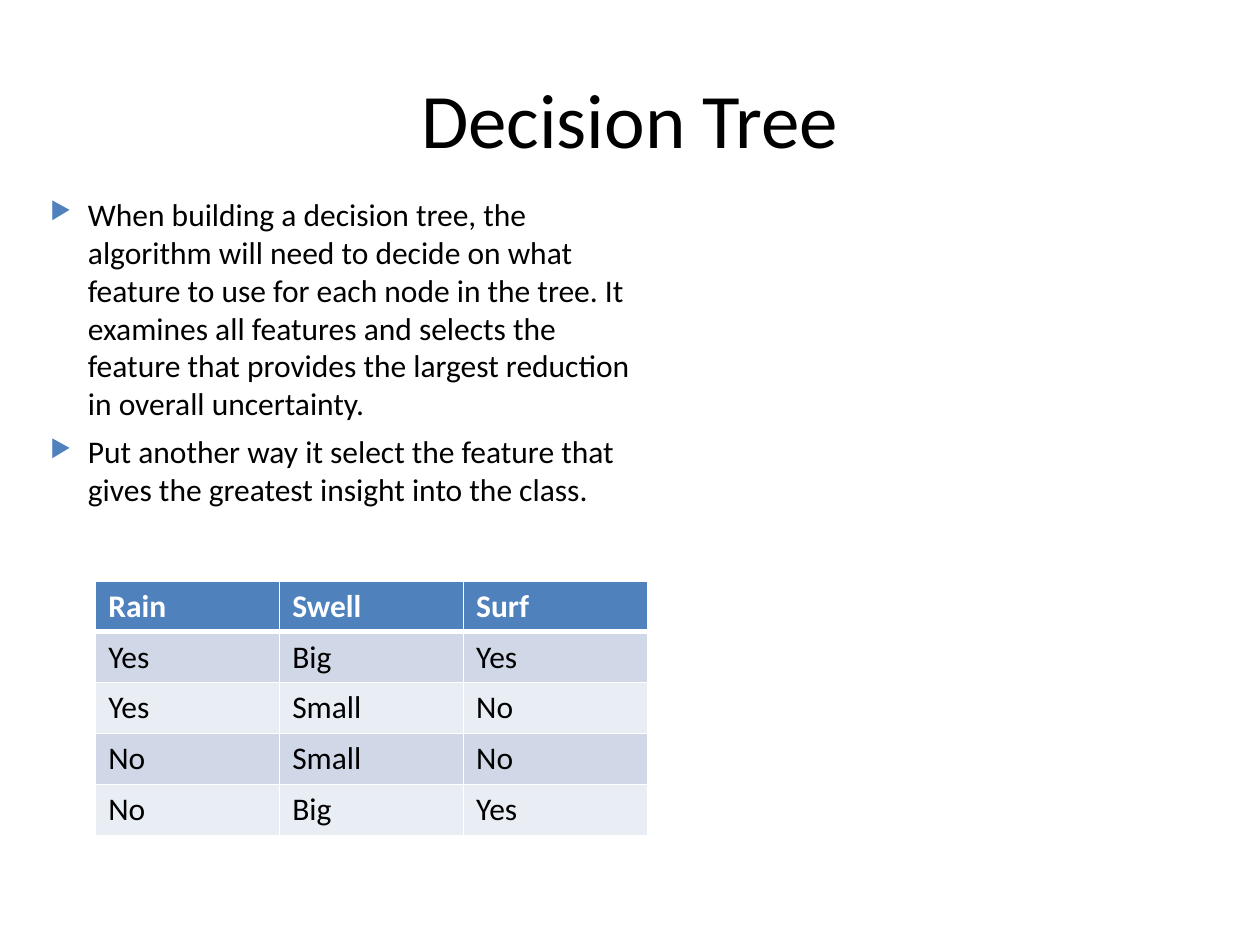
from lxml.etree import SubElement
from pptx import Presentation
from pptx.dml.color import RGBColor
from pptx.enum.text import MSO_ANCHOR, PP_ALIGN
from pptx.oxml.ns import qn
from pptx.util import Inches, Pt

BLACK = RGBColor(0x00, 0x00, 0x00)
WHITE = RGBColor(0xFF, 0xFF, 0xFF)
ACCENT = RGBColor(0x4F, 0x81, 0xBD)
BANDS = (RGBColor(0xD0, 0xD8, 0xE8), RGBColor(0xE9, 0xED, 0xF4))

WIDTH, HEIGHT = Inches(10), Inches(7.5)

TITLE_FORMAT = {"name": "Calibri", "size": Pt(44), "color": BLACK}
BODY_FORMAT = {"name": "Calibri", "size": Pt(18), "color": BLACK, "bold": False}
HEADER_FORMAT = {**BODY_FORMAT, "color": WHITE, "bold": True}

POINTS = (
    "When building a decision tree, the algorithm will need to decide on what "
    "feature to use for each node in the tree. It examines all features and "
    "selects the feature that provides the largest reduction in overall "
    "uncertainty.",
    "Put another way it select the feature that gives the greatest insight "
    "into the class.",
)
OBSERVATIONS = (
    ("Rain", "Swell", "Surf"),
    ("Yes", "Big", "Yes"),
    ("Yes", "Small", "No"),
    ("No", "Small", "No"),
    ("No", "Big", "Yes"),
)


def share(left, top, width, height):
    """Turn shares of the slide's size into lengths."""
    return (int(left * WIDTH), int(top * HEIGHT),
            int(width * WIDTH), int(height * HEIGHT))


def write(paragraph, text, font_format):
    run = paragraph.add_run()
    run.text = text
    for attribute, value in font_format.items():
        if attribute == "color":
            run.font.color.rgb = value
        else:
            setattr(run.font, attribute, value)


def add_frame(slide, box):
    frame = slide.shapes.add_textbox(*box).text_frame
    frame.word_wrap = True
    return frame


def add_title(slide, text, box):
    frame = add_frame(slide, box)
    frame.vertical_anchor = MSO_ANCHOR.MIDDLE
    heading = frame.paragraphs[0]
    heading.alignment = PP_ALIGN.CENTER
    write(heading, text, TITLE_FORMAT)


def set_bullet(paragraph):
    properties = paragraph._p.get_or_add_pPr()
    properties.set("marL", str(Inches(0.3)))
    properties.set("indent", str(Inches(-0.3)))
    color = SubElement(properties, qn("a:buClr"))
    SubElement(color, qn("a:srgbClr"), val=str(ACCENT))
    SubElement(properties, qn("a:buSzPct"), val="76000")
    SubElement(properties, qn("a:buChar"), char="▶")


def add_points(slide, points, box):
    frame = add_frame(slide, box)
    for index, text in enumerate(points):
        point = frame.add_paragraph() if index else frame.paragraphs[0]
        point.space_before = Pt(6)
        set_bullet(point)
        write(point, text, BODY_FORMAT)


def set_borders(cell, widths):
    properties = cell._tc.get_or_add_tcPr()
    for side, width in widths.items():
        line = SubElement(properties, qn(f"a:ln{side}"), w=str(Pt(width)))
        fill = SubElement(line, qn("a:solidFill"))
        SubElement(fill, qn("a:srgbClr"), val=str(WHITE))


def add_observations(slide, rows, box):
    table = slide.shapes.add_table(len(rows), len(rows[0]), *box).table
    for r, values in enumerate(rows):
        is_header = r == 0
        for c, value in enumerate(values):
            cell = table.cell(r, c)
            # The rule under the header is heavier than the others
            set_borders(cell, {"L": 1, "R": 1, "T": 3 if r == 1 else 1,
                               "B": 3 if is_header else 1})
            cell.fill.solid()
            cell.fill.fore_color.rgb = ACCENT if is_header else BANDS[(r - 1) % 2]
            write(cell.text_frame.paragraphs[0], value,
                  HEADER_FORMAT if is_header else BODY_FORMAT)


def main():
    deck = Presentation()
    deck.slide_width, deck.slide_height = WIDTH, HEIGHT
    slide = deck.slides.add_slide(deck.slide_layouts[6])

    # Explanation on the left, under the title
    add_points(slide, POINTS, share(0.03, 0.2, 0.48, 0.71))
    add_title(slide, "Decision Tree", share(0.05, 0.04, 0.9, 0.17))

    # Surf observations
    add_observations(slide, OBSERVATIONS,
                     (Inches(0.76), Inches(4.61), Inches(4.38), Inches(2.02)))

    deck.save("out.pptx")


if __name__ == "__main__":
    main()
